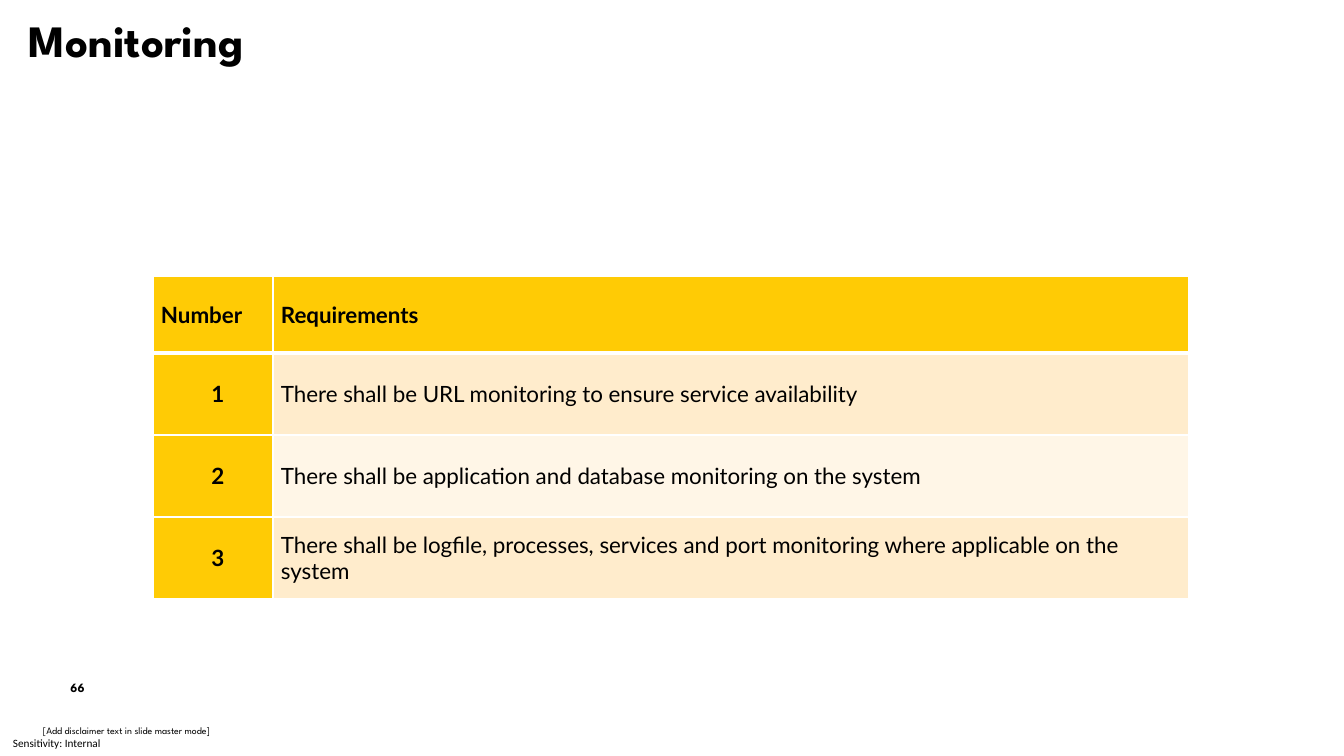
from lxml.etree import SubElement
from pptx import Presentation
from pptx.dml.color import RGBColor
from pptx.enum.shapes import MSO_SHAPE as SHAPE
from pptx.enum.text import MSO_ANCHOR as ANCHOR, MSO_AUTO_SIZE as AUTO, PP_ALIGN as ALIGN
from pptx.oxml.ns import qn
from pptx.util import Inches, Pt

# Content
TITLE = "Monitoring"
PAGE_NUMBER = "66"
DISCLAIMER = "[Add disclaimer text in slide master mode]"
SENSITIVITY = "Sensitivity: Internal"
HEADER = ("Number", "Requirements")
REQUIREMENTS = [
    "There shall be URL monitoring to ensure service availability",
    "There shall be application and database monitoring on the system",
    "There shall be logfile, processes, services and port monitoring where applicable on the system",
]

BLACK = RGBColor(0x00, 0x00, 0x00)
WHITE = RGBColor(0xFF, 0xFF, 0xFF)
YELLOW = RGBColor(0xFF, 0xCB, 0x05)
BANDS = (RGBColor(0xFF, 0xEC, 0xCC), RGBColor(0xFF, 0xF6, 0xE7))
HEADING_FONT, TABLE_FONT, LABEL_FONT = "League Spartan", "Lato", "Calibri"

# Layout in px
SLIDE_W, SLIDE_H = 1344, 756
TABLE_X, TABLE_Y = 153, 276
COL_W = (120, 916)
HEADER_H, ROW_H = 77, 82


def px(n):
    return round(n * 914400 / 100.8)


def write(tf, text, font, size, bold=False, align=ALIGN.LEFT):
    p = tf.paragraphs[0]
    p.alignment = align
    r = p.add_run()
    r.text = text
    for name, value in dict(name=font, size=Pt(size), bold=bold).items():
        setattr(r.font, name, value)
    r.font.color.rgb = BLACK
    return p


def set_frame(tf, left=0):
    frame = dict(margin_left=px(left), margin_right=0, margin_top=0, margin_bottom=0,
                 vertical_anchor=ANCHOR.MIDDLE, word_wrap=True)
    for name, value in frame.items():
        setattr(tf, name, value)


def add_label(box, text, font, size, left=0):
    tf = s.shapes.add_textbox(*map(px, box)).text_frame
    set_frame(tf, left)
    write(tf, text, font, size)


def set_borders(cell, top, bottom):
    tcPr = cell._tc.get_or_add_tcPr()
    for side, width in dict(lnL=1, lnR=1, lnT=top, lnB=bottom).items():
        ln = SubElement(tcPr, qn(f"a:{side}"), w=str(Pt(width)))
        fill = SubElement(ln, qn("a:solidFill"))
        SubElement(fill, qn("a:srgbClr"), val=str(WHITE))


prs = Presentation()
prs.slide_width, prs.slide_height = px(SLIDE_W), px(SLIDE_H)
s = prs.slides.add_slide(prs.slide_layouts[6])

# Page number
circle = s.shapes.add_shape(SHAPE.OVAL, *map(px, (43, 674, 69, 27)))
circle.shadow.inherit = False
circle.fill.solid()
circle.fill.fore_color.rgb = WHITE
circle.line.fill.background()
set_frame(circle.text_frame)
write(circle.text_frame, PAGE_NUMBER, HEADING_FONT, 9, True, ALIGN.CENTER)

# Footer labels
add_label((43, 714, 748, 34), DISCLAIMER, HEADING_FONT, 7)
add_label((0, 731, 115, 25), SENSITIVITY, LABEL_FONT, 8, left=13)

# Title
tf = s.shapes.add_textbox(*map(px, (19, 8, 253, 65))).text_frame
tf.word_wrap = False
tf.auto_size = AUTO.SHAPE_TO_FIT_TEXT
write(tf, TITLE, HEADING_FONT, 32, True)

# Requirements table
rows = [HEADER] + [(str(n), text) for n, text in enumerate(REQUIREMENTS, 1)]
heights = [HEADER_H] + [ROW_H] * len(REQUIREMENTS)
table = s.shapes.add_table(len(rows), len(HEADER), px(TABLE_X), px(TABLE_Y),
                           px(sum(COL_W)), px(sum(heights))).table
table.horz_banding = False
for column, width in zip(table.columns, COL_W):
    column.width = px(width)
for i, (row, height) in enumerate(zip(rows, heights)):
    table.rows[i].height = px(height)
    for j, text in enumerate(row):
        cell = table.cell(i, j)
        strong = i == 0 or j == 0
        set_borders(cell, top=3 if i == 1 else 1, bottom=3 if i == 0 else 1)
        cell.fill.solid()
        cell.fill.fore_color.rgb = YELLOW if strong else BANDS[(i - 1) % 2]
        cell.vertical_anchor = ANCHOR.MIDDLE
        cell.margin_left = cell.margin_right = px(8)
        cell.margin_top = cell.margin_bottom = px(5)
        p = write(cell.text_frame, text, TABLE_FONT, 16, strong)
        if i and j == 0:
            p.level = 1
            pPr = p._p.get_or_add_pPr()
            pPr.set("marL", str(Inches(0.5)))
            pPr.set("indent", "0")

prs.save("out.pptx")
